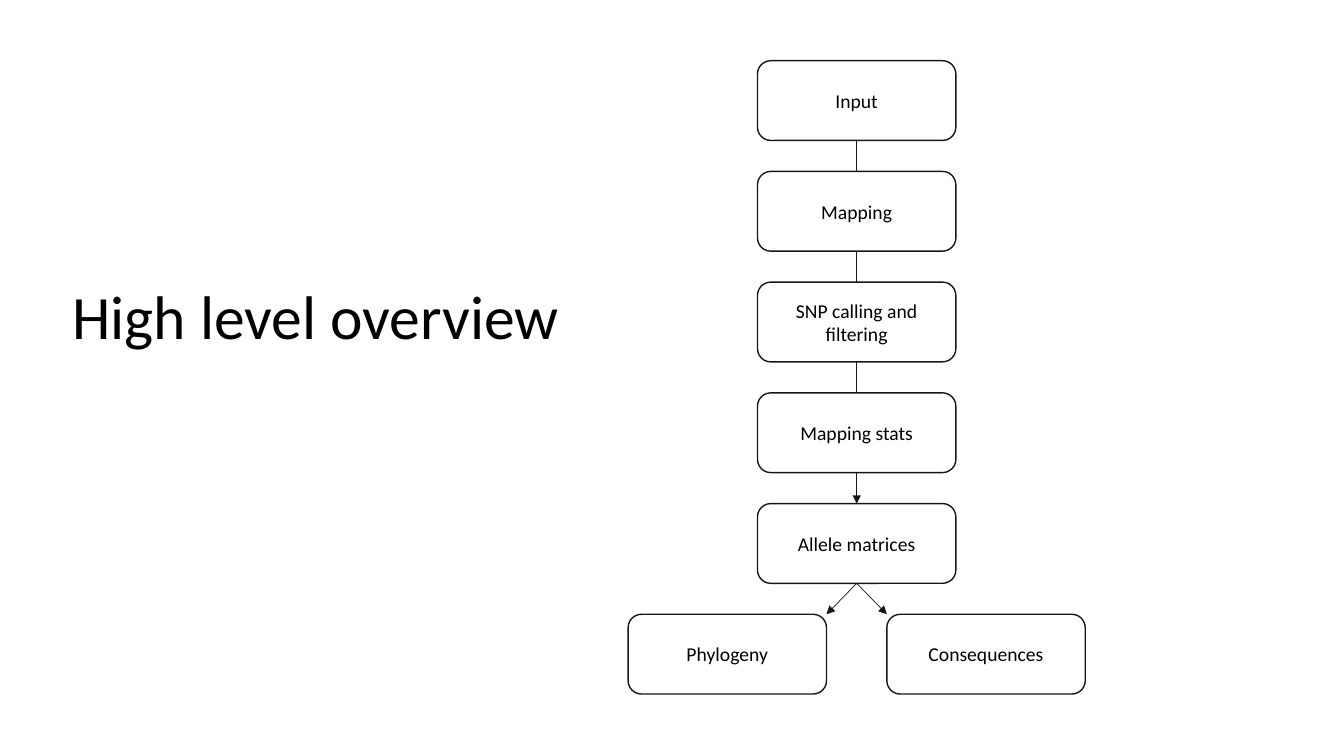
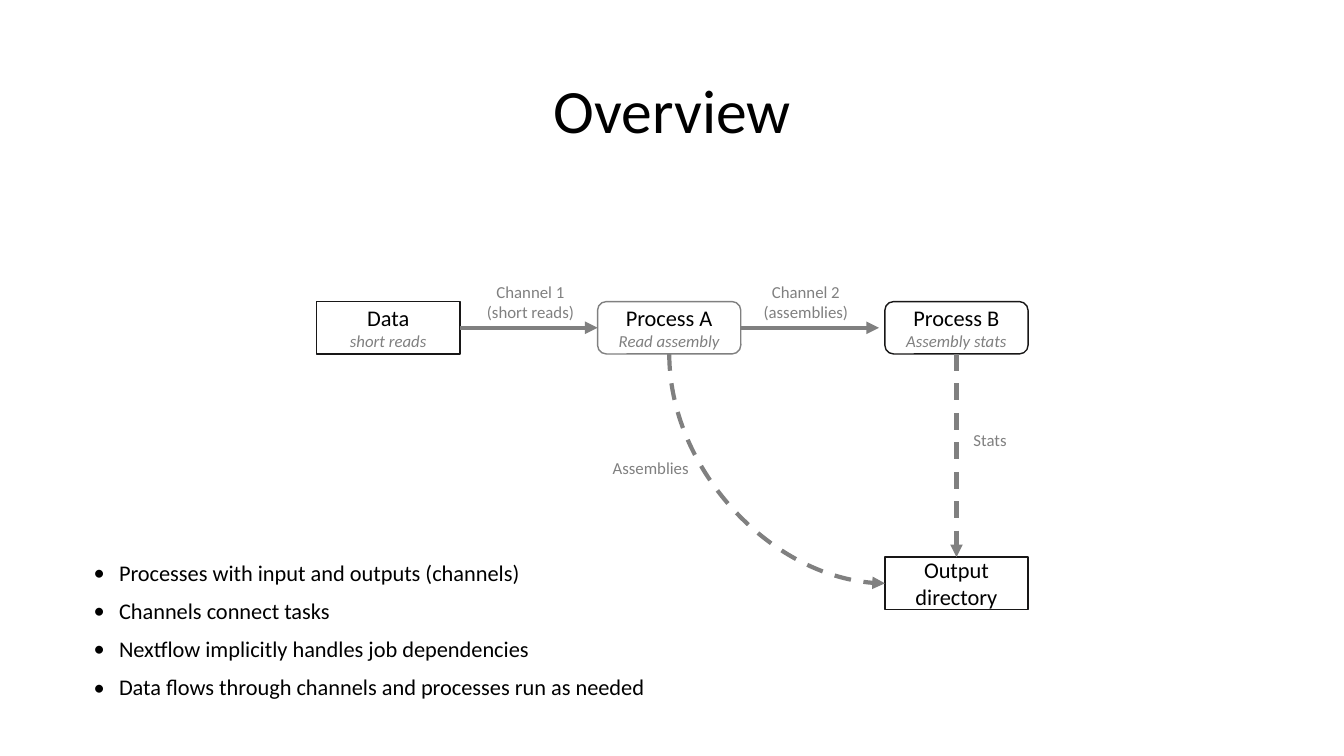
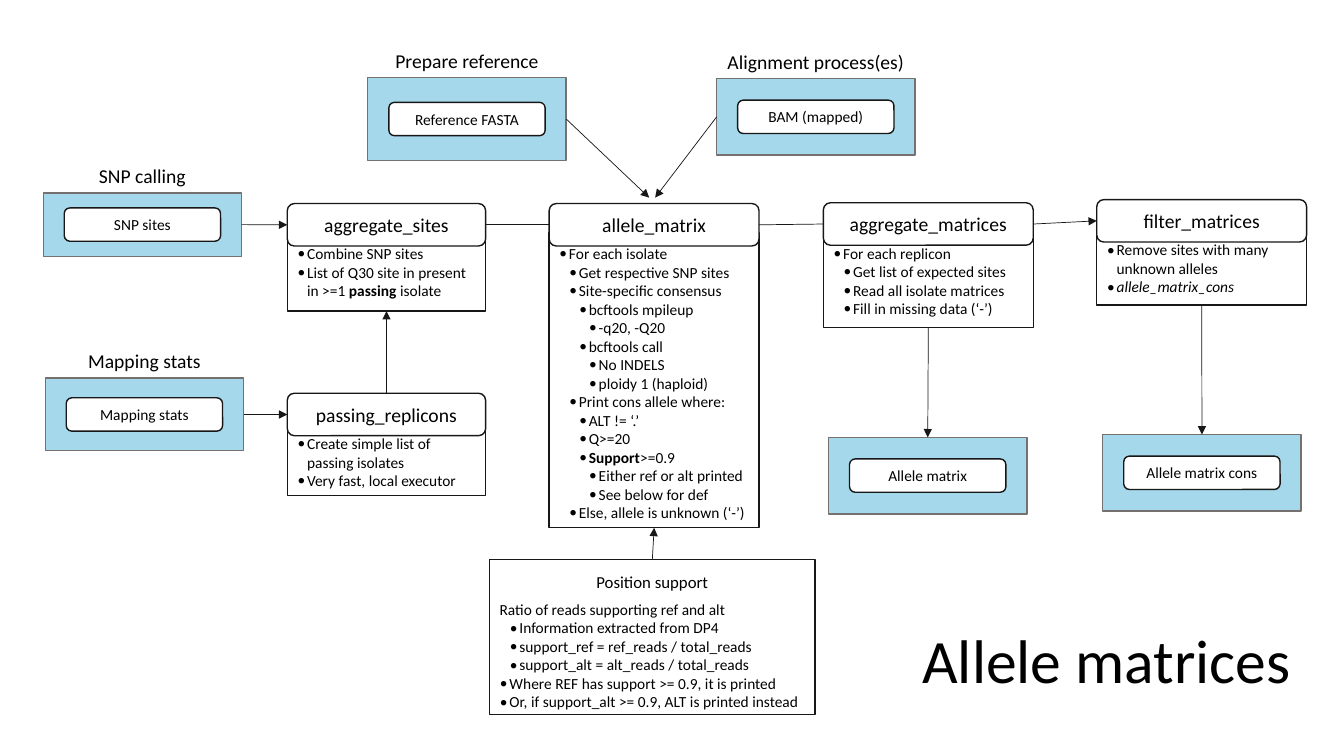
from dataclasses import dataclass
from itertools import pairwise

from lxml.etree import SubElement
from pptx import Presentation
from pptx.dml.color import RGBColor as RGB
from pptx.enum.dml import MSO_LINE as Dash
from pptx.enum.shapes import MSO_CONNECTOR as Conn, MSO_SHAPE as Shape
from pptx.enum.text import MSO_ANCHOR as Anchor, MSO_AUTO_SIZE as Auto, PP_ALIGN as Align
from pptx.oxml.ns import qn
from pptx.oxml.xmlchemy import OxmlElement
from pptx.util import Cm, Pt


@dataclass(frozen=True)
class Theme:
    font: str = "Calibri"
    ink: RGB = RGB(0, 0, 0)
    edge: RGB = RGB(0x18, 0x17, 0x17)
    gray: RGB = RGB(0x80, 0x80, 0x80)
    rim: RGB = RGB(0x76, 0x71, 0x71)
    white: RGB = RGB(0xFF, 0xFF, 0xFF)
    blue: RGB = RGB(0xA4, 0xD8, 0xEA)
    title: int = 44
    lead: int = 16
    head: int = 14
    note: int = 12
    small: int = 11
    thin: float = 0.5
    thick: float = 3


T = Theme()
TOP, LEFT, BOTTOM, RIGHT = range(4)
ROUND, RECT = Shape.ROUNDED_RECTANGLE, Shape.RECTANGLE

# Slide 1
STACK = ["Input", "Mapping", "SNP calling and filtering", "Mapping stats", "Allele matrices"]
LEAVES = ["Phylogeny", "Consequences"]

# Slide 2: name, detail, preset, outline, left, top
NODES = [
    ("Data", "short reads", RECT, T.edge, 7.98, 7.6),
    ("Process A", "Read assembly", ROUND, T.gray, 15.06, 7.6),
    ("Process B", "Assembly stats", ROUND, T.edge, 22.3, 7.6),
    ("Output directory", None, RECT, T.edge, 22.3, 14.04),
]
# lines, centre, top
LABELS = [
    (["Channel 1", "(short reads)"], 13.37, 6.97),
    (["Channel 2", "(assemblies)"], 20.31, 6.97),
    (["Assemblies"], 16.4, 11.42),
    (["Stats"], 24.95, 10.7),
]
POINTS = [
    "Processes with input and outputs (channels)",
    "Channels connect tasks",
    "Nextflow implicitly handles job dependencies",
    "Data flows through channels and processes run as needed",
]

# Slide 3: name, left, top, width, body height, lines as (level, text or runs)
STEPS = [
    ("passing_replicons", 7.24, 9.91, 5, 1.85, [
        (0, "Create simple list of passing isolates"),
        (0, "Very fast, local executor"),
    ]),
    ("aggregate_sites", 7.24, 5.13, 5, 1.98, [
        (0, "Combine SNP sites"),
        (0, ["List of Q30 site in present in >=1 ", ("passing ", "bold"), "isolate"]),
    ]),
    ("allele_matrix", 13.84, 5.13, 5.29, 7.44, [
        (0, "For each isolate"),
        (1, "Get respective SNP sites"),
        (1, "Site-specific consensus"),
        (2, "bcftools mpileup"),
        (3, "-q20, -Q20"),
        (2, "bcftools call"),
        (3, "No INDELS"),
        (3, "ploidy 1 (haploid)"),
        (1, "Print cons allele where:"),
        (2, "ALT != ‘.’"),
        (2, "Q>=20"),
        (2, [("Support", "bold"), ">=0.9"]),
        (3, "Either ref or alt printed"),
        (3, "See below for def"),
        (1, "Else, allele is unknown (‘-’)"),
    ]),
    ("aggregate_matrices", 20.75, 5.11, 5.29, 2.41, [
        (0, "For each replicon"),
        (1, "Get list of expected sites"),
        (1, "Read all isolate matrices"),
        (1, "Fill in missing data (‘-’)"),
    ]),
    ("filter_matrices", 27.64, 5.03, 5.29, 1.93, [
        (0, "Remove sites with many unknown alleles"),
        (0, [("allele_matrix_cons", "italic")]),
    ]),
]
# heading, file, left, top, height
FILES = [
    ("Alignment process(es)", "BAM (mapped)", 18.06, 1.98, 1.93),
    ("SNP calling", "SNP sites", 1.09, 4.86, 1.6),
    ("Mapping stats", "Mapping stats", 1.14, 9.53, 1.83),
    ("Prepare reference", "Reference FASTA", 9.27, 1.96, 2.08),
    (None, "Allele matrix", 20.88, 11.02, 1.93),
    (None, "Allele matrix cons", 27.79, 10.95, 1.93),
]
SUPPORT = [
    (None, "Ratio of reads supporting ref and alt"),
    (1, "Information extracted from DP4"),
    (1, "support_ref = ref_reads / total_reads"),
    (1, "support_alt = alt_reads / total_reads"),
    (0, "Where REF has support >= 0.9, it is printed"),
    (0, "Or, if support_alt >= 0.9, ALT is printed instead"),
]


def write(frame, text, size, ink=T.ink, align=Align.CENTER):
    """Add a paragraph; text is a string or a list of strings and (string, style) runs."""
    para = frame.paragraphs[-1]
    if para.runs:
        para = frame.add_paragraph()
    for part in [text] if isinstance(text, str) else text:
        run = para.add_run()
        if isinstance(part, str):
            run.text = part
        else:
            run.text, style = part
            setattr(run.font, style, True)
    para.alignment = align
    font = para.font
    font.name, font.size, font.color.rgb = T.font, Pt(size), ink
    return para


def bullet(para, left, hang):
    props = para._p.get_or_add_pPr()
    props.set("marL", str(Cm(left)))
    props.set("indent", str(-Cm(hang)))
    face, mark = OxmlElement("a:buFont"), OxmlElement("a:buChar")
    face.set("typeface", T.font)
    mark.set("char", "•")
    props.insert(0, face)
    props.insert(1, mark)


def title(deck, text, spot, align):
    """Add a title-only slide with its title placed at spot."""
    slide = deck.slides.add_slide(deck.slide_layouts[5])
    name = slide.shapes.title
    name.left, name.top, name.width, name.height = map(Cm, spot)
    frame = name.text_frame
    frame.auto_size, frame.vertical_anchor = Auto.NONE, Anchor.MIDDLE
    write(frame, text, T.title, align=align).line_spacing = 0.9
    return slide


def box(slide, kind, spot, text=None, size=T.head, fill=T.white, edge=T.edge):
    item = slide.shapes.add_shape(kind, *map(Cm, spot))
    item.shadow.inherit = False
    item.fill.solid()
    item.fill.fore_color.rgb = fill
    item.line.color.rgb, item.line.width = edge, Pt(1)
    item.text_frame.vertical_anchor = Anchor.MIDDLE
    if text:
        write(item.text_frame, text, size)
    return item


def label(slide, lines, mid, top, wide, size, ink=T.ink):
    """Add text centred on mid, in a box wide enough for its longest line."""
    item = slide.shapes.add_textbox(Cm(mid - wide / 2), Cm(top), Cm(wide), Cm(0.86))
    frame = item.text_frame
    frame.word_wrap, frame.auto_size = True, Auto.SHAPE_TO_FIT_TEXT
    for line in lines:
        write(frame, line, size, ink)


def link(slide, start, end, ink=T.edge, width=T.thin, arrow=True, dash=None, kind=Conn.STRAIGHT):
    """Join start to end, each a (shape, side) pair or an (x, y) point in EMU."""
    line = slide.shapes.add_connector(kind, 0, 0, 0, 0)
    if isinstance(start[0], int):
        line.begin_x, line.begin_y = start
    else:
        line.begin_connect(*start)
    if isinstance(end[0], int):
        line.end_x, line.end_y = end
    else:
        line.end_connect(*end)
    line.line.color.rgb, line.line.width = ink, Pt(width)
    if dash:
        line.line.dash_style = dash
    props = line.element.spPr
    if arrow:
        SubElement(props.find(qn("a:ln")), qn("a:tailEnd"), type="triangle")
    SubElement(props, qn("a:effectLst"))
    return line


def bend(line):
    """Turn a connector into a quarter curve that leaves downwards and arrives rightwards."""
    left, top, wide, high = line.left, line.top, line.width, line.height
    line.left, line.top = left + (wide - high) // 2, top + (high - wide) // 2
    line.width, line.height = high, wide
    props = line.element.spPr
    frame = props.find(qn("a:xfrm"))
    frame.set("rot", "16200000")
    frame.set("flipH", "1")
    props.find(qn("a:prstGeom")).set("prst", "curvedConnector2")


def details(slide, spot):
    """Add a box whose text starts at the top and return it."""
    item = box(slide, RECT, spot)
    frame = item.text_frame
    frame.vertical_anchor, frame.margin_top = Anchor.TOP, Cm(0.3)
    return item


def outline(frame, lines):
    for level, text in lines:
        para = write(frame, text, T.small, align=Align.LEFT)
        if level is not None:
            bullet(para, 0.25 * (level + 1), 0.24)


def levels(deck):
    slide = title(deck, "High level overview", (1.57, 6.22, 14.25, 3.68), Align.LEFT)
    mid, top, wide, high, pitch, gap = 21.59, 1.53, 5, 2.01, 2.79, 1.52
    stack = [box(slide, ROUND, (mid - wide / 2, top + row * pitch, wide, high), name)
             for row, name in enumerate(STACK)]
    for above, below in pairwise(stack):
        link(slide, (above, BOTTOM), (below, TOP), arrow=below is stack[-1])
    low = top + len(STACK) * pitch
    for name, left, tip in zip(LEAVES, (mid - gap / 2 - wide, mid + gap / 2),
                               (mid - gap / 2, mid + gap / 2)):
        box(slide, ROUND, (left, low, wide, high), name)
        link(slide, (stack[-1], BOTTOM), (Cm(tip), Cm(low)))


def channels(deck):
    slide = title(deck, "Overview", (2.34, 1.02, 29.21, 3.68), Align.CENTER)
    nodes = []
    for name, detail, kind, edge, left, top in NODES:
        node = box(slide, kind, (left, top, 3.61, 1.32), name, T.lead, edge=edge)
        if detail:
            write(node.text_frame, detail, T.note, T.gray).font.italic = True
        nodes.append(node)
    data, first, second, output = nodes
    pen = {"ink": T.gray, "width": T.thick}
    link(slide, (data, RIGHT), (first, LEFT), **pen)
    stop = second.left - Cm(0.15), second.top + second.height // 2
    link(slide, (first, RIGHT), stop, **pen)
    link(slide, (second, BOTTOM), (output, TOP), dash=Dash.DASH, **pen)
    bend(link(slide, (first, BOTTOM), (output, LEFT), dash=Dash.DASH, kind=Conn.CURVE, **pen))
    for lines, mid, top in LABELS:
        label(slide, lines, mid, top, 3.2, T.note, T.gray)
    frame = slide.shapes.add_textbox(*map(Cm, (2.11, 14.04, 15.93, 3.86))).text_frame
    frame.word_wrap = True
    for point in POINTS:
        para = write(frame, point, T.lead, align=Align.LEFT)
        bullet(para, 0.64, 0.64)
        para.line_spacing, para.space_before = 0.9, Pt(10)


def matrices(deck):
    slide = title(deck, "Allele matrices", (19.56, 14.88, 13.23, 3.68), Align.RIGHT)
    heads, bodies, files = {}, {}, {}
    for name, left, top, wide, high, lines in STEPS:
        bodies[name] = details(slide, (left, top + 0.73, wide, high))
        outline(bodies[name].text_frame, lines)
        heads[name] = box(slide, ROUND, (left, top, wide, 1.07), name)
    wide, chip, tall = 5, 3.94, 0.84
    for head, name, left, top, high in FILES:
        files[name] = box(slide, RECT, (left, top, wide, high), fill=T.blue, edge=T.rim)
        box(slide, ROUND, (left + (wide - chip) / 2, top + (high - tall) / 2, chip, tall),
            name, T.small)
        if head:
            label(slide, [head], left + wide / 2, top - 0.85, 6, T.head)
    support = details(slide, (12.34, 14.1, 8.2, 3.91))
    write(support.text_frame, "Position support", T.note).space_after = Pt(6)
    outline(support.text_frame, SUPPORT)

    chain = [heads[name] for name, *_ in STEPS[1:]]
    for one, two in pairwise(chain):
        link(slide, (one, RIGHT), (two, LEFT), arrow=two is chain[-1])
    for start, end in [
        ((files["SNP sites"], RIGHT), (heads["aggregate_sites"], LEFT)),
        ((files["Mapping stats"], RIGHT), (heads["passing_replicons"], LEFT)),
        ((heads["passing_replicons"], TOP), (bodies["aggregate_sites"], BOTTOM)),
        ((files["Reference FASTA"], RIGHT), (Cm(16.36), Cm(4.98))),
        ((files["BAM (mapped)"], LEFT), (Cm(16.51), Cm(4.98))),
        ((support, TOP), (bodies["allele_matrix"], BOTTOM)),
        ((bodies["aggregate_matrices"], BOTTOM), (files["Allele matrix"], TOP)),
        ((bodies["filter_matrices"], BOTTOM), (files["Allele matrix cons"], TOP)),
    ]:
        link(slide, start, end)


def main():
    deck = Presentation()
    deck.slide_width, deck.slide_height = Cm(33.87), Cm(19.05)
    for build in (levels, channels, matrices):
        build(deck)
    deck.save("out.pptx")


if __name__ == "__main__":
    main()
